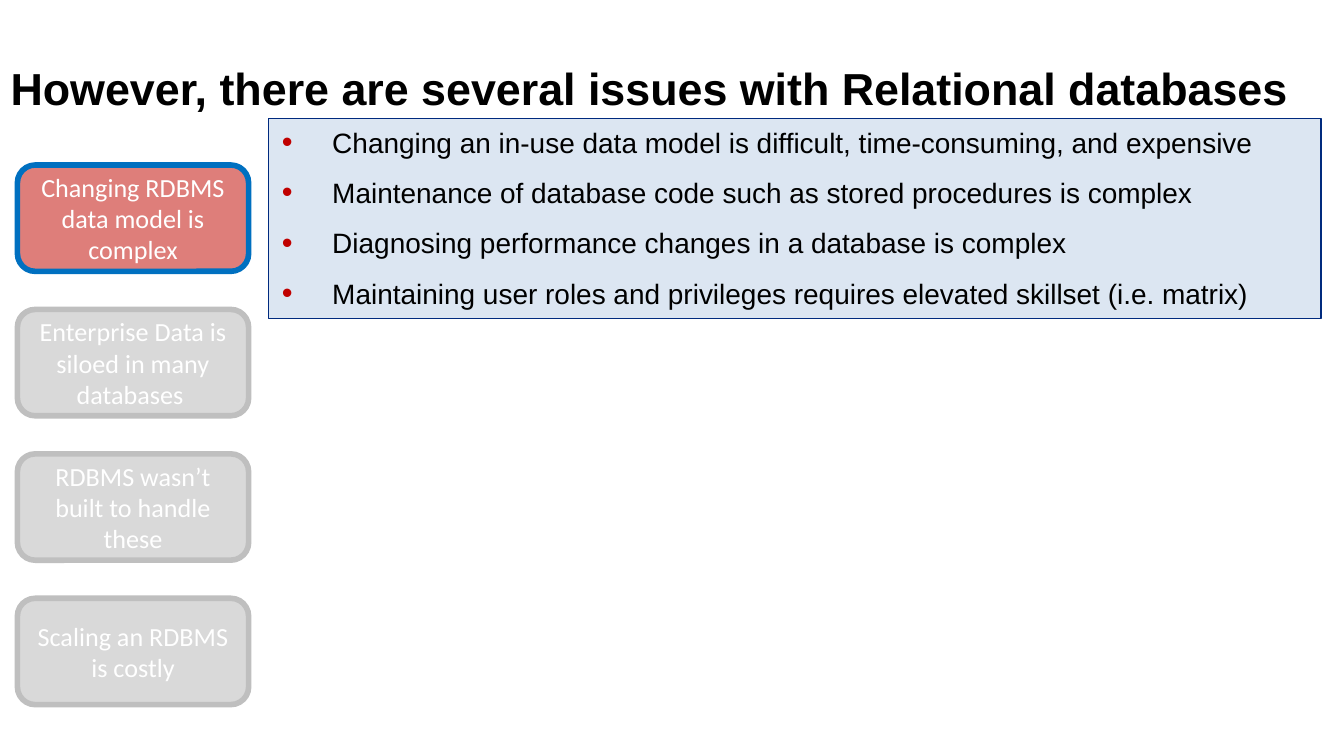
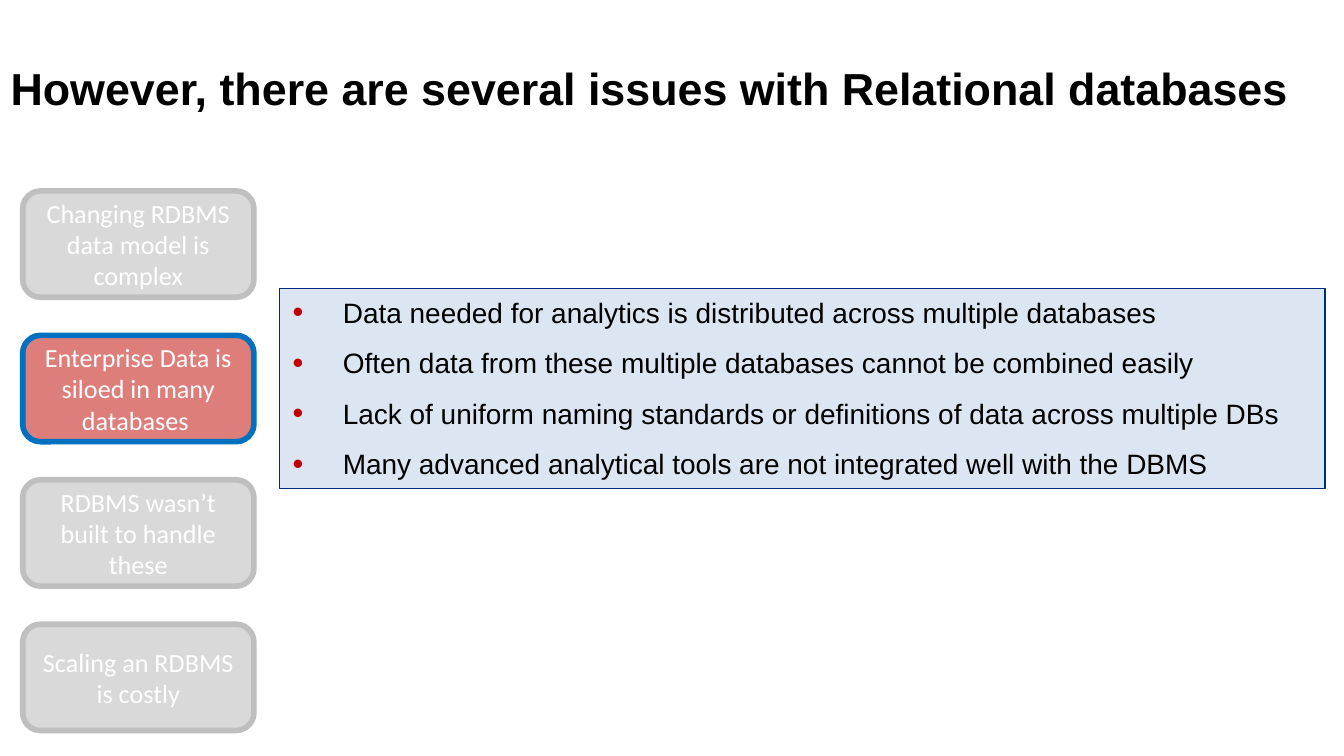
import dataclasses

import pptx
import pptx.dml.color
import pptx.enum.shapes
import pptx.enum.text
import pptx.oxml
import pptx.oxml.ns
import pptx.util

Cm = pptx.util.Cm
Pt = pptx.util.Pt
Kind = pptx.enum.shapes.MSO_SHAPE
Align = pptx.enum.text.PP_ALIGN
Anchor = pptx.enum.text.MSO_ANCHOR
Fit = pptx.enum.text.MSO_AUTO_SIZE

TITLE = "However, there are several issues with Relational databases"
ISSUES = (
    "Changing RDBMS data model is complex",
    "Enterprise Data is siloed in many databases ",
    "RDBMS wasn’t built to handle these",
    "Scaling an RDBMS is costly",
)
WHITE, BLACK, RED = "FFFFFF", "000000", "C00000"
STEP = 2.73


@dataclasses.dataclass(frozen=True)
class Style:
    kind: Kind
    fill: str
    line: str
    width: float


@dataclasses.dataclass(frozen=True)
class Page:
    active: int
    left: float
    top: float
    panel: tuple[float, float, float, float]
    points: tuple[str, ...]


PANEL = Style(Kind.RECTANGLE, "DCE6F2", "002A7E", 0.75)
ACTIVE = Style(Kind.ROUNDED_RECTANGLE, "DE7E7A", "0070C0", 3)
MUTED = Style(Kind.ROUNDED_RECTANGLE, "D9D9D9", "BFBFBF", 3)

PAGES = (
    Page(0, 0.33, 3.12, (5.08, 2.24, 19.89, 3.78), (
        "Changing an in-use data model is difficult, time-consuming, and expensive",
        "Maintenance of database code such as stored procedures is complex",
        "Diagnosing performance changes in a database is complex",
        "Maintaining user roles and privileges requires elevated skillset (i.e. matrix)",
    )),
    Page(1, 0.43, 3.61, (5.28, 5.46, 19.76, 3.78), (
        "Data needed for analytics is distributed across multiple databases",
        "Often data from these multiple databases cannot be combined easily",
        "Lack of uniform naming standards or definitions of data across multiple DBs",
        "Many advanced analytical tools are not integrated well with the DBMS",
    )),
)


def color(code: str) -> pptx.dml.color.RGBColor:
    return pptx.dml.color.RGBColor.from_string(code)


def bullet(para) -> None:
    props = para._p.get_or_add_pPr()
    props.set("marL", str(Cm(0.95)))
    props.set("indent", str(-Cm(0.95)))
    space = pptx.oxml.ns.nsdecls("a")
    for mark in (
        f'<a:buClr {space}><a:srgbClr val="{RED}"/></a:buClr>',
        f'<a:buSzPct {space} val="110000"/>',
        f'<a:buFont {space} typeface="Arial"/>',
        f'<a:buChar {space} char="•"/>',
    ):
        props.append(pptx.oxml.parse_xml(mark))


def write(frame, *lines: str, size: float, font: str = "Arial",
          ink: str = BLACK, bold: bool = False, align=Align.LEFT,
          anchor=Anchor.TOP, fit=Fit.NONE, dots: bool = False,
          after: float | None = None, pitch: float | None = None) -> None:
    frame.word_wrap = True
    frame.auto_size = fit
    frame.vertical_anchor = anchor
    for rank, line in enumerate(lines):
        para = frame.add_paragraph() if rank else frame.paragraphs[0]
        para.alignment = align
        if after is not None:
            para.space_after = Pt(after)
        if pitch is not None:
            para.line_spacing = Pt(pitch)
        if dots:
            bullet(para)
        run = para.add_run()
        run.text = line
        run.font.name = font
        run.font.size = Pt(size)
        run.font.bold = bold
        run.font.color.rgb = color(ink)


def block(slide, style: Style, *area: float):
    shape = slide.shapes.add_shape(style.kind, *map(Cm, area))
    shape.shadow.inherit = False
    shape.fill.solid()
    shape.fill.fore_color.rgb = color(style.fill)
    shape.line.color.rgb = color(style.line)
    shape.line.width = Pt(style.width)
    return shape.text_frame


def draw(slide, page: Page) -> None:
    slide.background.fill.solid()
    slide.background.fill.fore_color.rgb = color(WHITE)
    title = slide.shapes.add_textbox(Cm(-0.05), Cm(1.19), Cm(25.45), Cm(1.12))
    write(title.text_frame, TITLE, size=24, bold=True, pitch=24,
          fit=Fit.SHAPE_TO_FIT_TEXT)
    write(block(slide, PANEL, *page.panel), *page.points, size=15,
          dots=True, after=9, fit=Fit.SHAPE_TO_FIT_TEXT)
    for rank, issue in enumerate(ISSUES):
        style = ACTIVE if rank == page.active else MUTED
        frame = block(slide, style, page.left, page.top + rank * STEP, 4.37, 2.01)
        write(frame, issue, size=14, font="Calibri", ink=WHITE,
              align=Align.CENTER, anchor=Anchor.MIDDLE)


def main() -> None:
    deck = pptx.Presentation()
    deck.slide_width = Cm(25.4)
    deck.slide_height = Cm(14.29)
    for page in PAGES:
        draw(deck.slides.add_slide(deck.slide_layouts[6]), page)
    deck.save("out.pptx")


if __name__ == "__main__":
    main()
